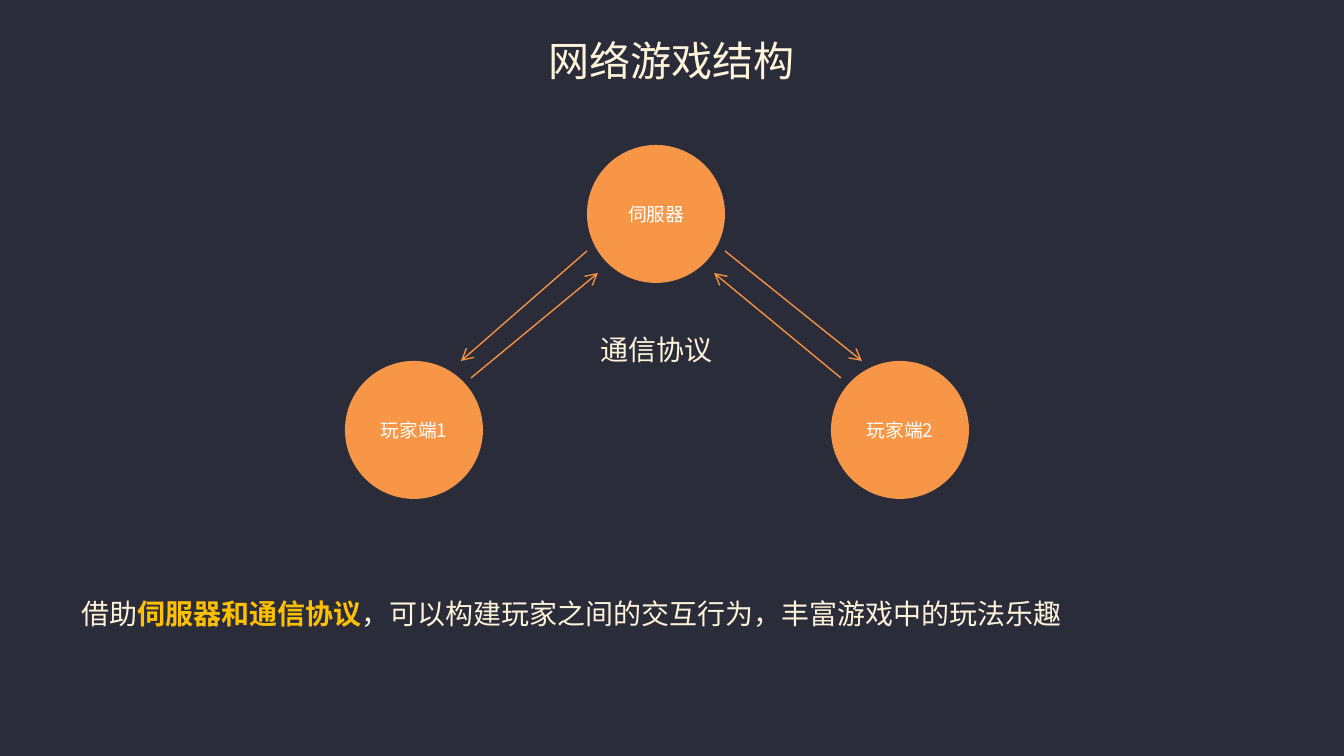
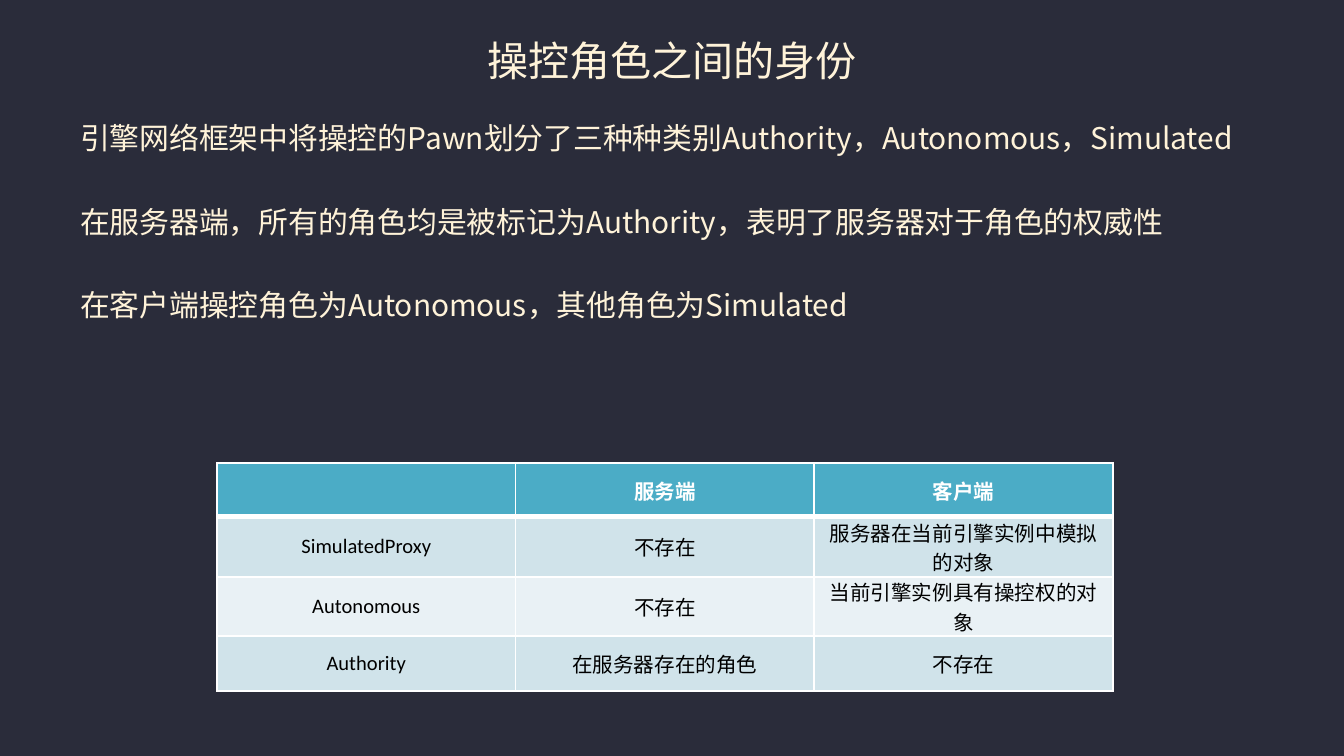
import pptx
import pptx.util
import pptx.dml.color
import pptx.enum.shapes
import pptx.enum.text
import pptx.oxml.ns
import lxml.etree

RGB = pptx.dml.color.RGBColor
ALIGN = pptx.enum.text.PP_ALIGN
ANCHOR = pptx.enum.text.MSO_ANCHOR
qn = pptx.oxml.ns.qn

# Shared look
WIDE, HIGH = 1344, 756
SCALE = 914400 / 134.4
FONT, LATIN = "Noto Sans CJK SC", "Calibri"
NIGHT = RGB(0x2A, 0x2C, 0x3A)
CREAM = RGB(0xFF, 0xF3, 0xD9)
WHITE = RGB(0xFF, 0xFF, 0xFF)
BLACK = RGB(0x00, 0x00, 0x00)
GOLD = RGB(0xFF, 0xC0, 0x00)
ORANGE = RGB(0xF7, 0x96, 0x46)
ARROW = RGB(0xF6, 0x92, 0x40)
TEAL = RGB(0x4B, 0xAC, 0xC6)
BANDS = [RGB(0xD0, 0xE3, 0xEA), RGB(0xE9, 0xF1, 0xF5)]


def px(*sizes):
    return [pptx.util.Emu(round(size * SCALE)) for size in sizes]


def add_run(para, text, size, color=CREAM, bold=False, face=FONT):
    run = para.add_run()
    run.text = text
    font = run.font
    font.size, font.bold, font.name = pptx.util.Pt(size), bold, face
    font.color.rgb = color
    props = run._r.get_or_add_rPr()
    lxml.etree.SubElement(props, qn("a:ea"), typeface=FONT)


def add_box(slide, *area):
    frame = slide.shapes.add_textbox(*px(*area)).text_frame
    frame.word_wrap = True
    return frame


def add_page(deck, title):
    slide = deck.slides.add_slide(deck.slide_layouts[6])
    slide.background.fill.solid()
    slide.background.fill.fore_color.rgb = NIGHT
    frame = add_box(slide, 67, 29, 1210, 63)
    frame.vertical_anchor = ANCHOR.MIDDLE
    para = frame.paragraphs[0]
    para.alignment = ALIGN.CENTER
    add_run(para, title, 22)
    return slide


def add_label(slide, area, *runs):
    frame = add_box(slide, *area)
    frame.word_wrap = False
    frame.auto_size = pptx.enum.text.MSO_AUTO_SIZE.SHAPE_TO_FIT_TEXT
    for text, color, bold in runs:
        add_run(frame.paragraphs[0], text, 15, color, bold)


def add_node(slide, left, top, text):
    node = slide.shapes.add_shape(
        pptx.enum.shapes.MSO_SHAPE.OVAL, *px(left, top, 138, 138))
    node.shadow.inherit = False
    node.fill.solid()
    node.fill.fore_color.rgb = ORANGE
    node.line.fill.background()
    frame = node.text_frame
    frame.margin_left, frame.margin_right = px(4, 4)
    frame.vertical_anchor = ANCHOR.MIDDLE
    para = frame.paragraphs[0]
    para.alignment = ALIGN.CENTER
    add_run(para, text, 10, WHITE)


def add_arrow(slide, *ends):
    link = slide.shapes.add_connector(
        pptx.enum.shapes.MSO_CONNECTOR.STRAIGHT, *px(*ends))
    link.line.color.rgb = ARROW
    link.line.width = pptx.util.Pt(0.75)
    props = link._element.spPr
    lxml.etree.SubElement(props.find(qn("a:ln")), qn("a:tailEnd"), type="arrow")
    lxml.etree.SubElement(props, qn("a:effectLst"))


def add_body(slide, lines):
    frame = add_box(slide, 67, 113, 1210, 562)
    for row, text in enumerate(lines):
        para = frame.add_paragraph() if row else frame.paragraphs[0]
        para.space_before = pptx.util.Pt(25.6 if row else 3.2)
        add_run(para, text, 16)


def set_edges(cell, top, bottom):
    props = cell._tc.get_or_add_tcPr()
    edges = {"a:lnL": 1, "a:lnR": 1, "a:lnT": top, "a:lnB": bottom}
    for spot, (tag, width) in enumerate(edges.items()):
        edge = lxml.etree.Element(qn(tag), w=str(pptx.util.Pt(width)))
        fill = lxml.etree.SubElement(edge, qn("a:solidFill"))
        lxml.etree.SubElement(fill, qn("a:srgbClr"), val=str(WHITE))
        props.insert(spot, edge)


def add_grid(slide, rows, highs):
    grid = slide.shapes.add_table(
        len(rows), len(rows[0]), *px(217, 463, 896, sum(highs))).table
    for row, (texts, high) in enumerate(zip(rows, highs)):
        head = row == 0
        grid.rows[row].height = px(high)[0]
        for col, text in enumerate(texts):
            cell = grid.cell(row, col)
            cell.margin_left, cell.margin_right = px(10, 10)
            cell.margin_top = cell.margin_bottom = 0
            cell.vertical_anchor = ANCHOR.MIDDLE
            cell.fill.solid()
            cell.fill.fore_color.rgb = TEAL if head else BANDS[(row - 1) % 2]
            set_edges(cell, 3 if row == 1 else 1, 3 if head else 1)
            if text:
                para = cell.text_frame.paragraphs[0]
                para.alignment = ALIGN.CENTER
                add_run(para, text, 11, WHITE if head else BLACK, head, LATIN)


def main():
    deck = pptx.Presentation()
    deck.slide_width, deck.slide_height = px(WIDE, HIGH)

    # Server, players and the links between them
    slide = add_page(deck, "网络游戏结构")
    for node in [(587, 145, "伺服器"), (345, 361, "玩家端1"), (831, 361, "玩家端2")]:
        add_node(slide, *node)
    for ends in [(471, 378, 598, 273), (587, 251, 461, 361),
                 (841, 378, 714, 273), (725, 251, 862, 361)]:
        add_arrow(slide, *ends)
    add_label(slide, (587, 326, 140, 47), ("通信协议", CREAM, False))
    add_label(slide, (68, 590, 1016, 47),
              ("借助", CREAM, False),
              ("伺服器和通信协议", GOLD, True),
              ("，可以构建玩家之间的交互行为，丰富游戏中的玩法乐趣", CREAM, False))

    # Roles of a controlled character
    slide = add_page(deck, "操控角色之间的身份")
    add_body(slide, [
        "引擎网络框架中将操控的Pawn划分了三种种类别Authority，Autonomous，Simulated",
        "在服务器端，所有的角色均是被标记为Authority，表明了服务器对于角色的权威性",
        "在客户端操控角色为Autonomous，其他角色为Simulated",
    ])
    add_grid(slide, [
        ("", "服务端", "客户端"),
        ("SimulatedProxy", "不存在", "服务器在当前引擎实例中模拟的对象"),
        ("Autonomous", "不存在", "当前引擎实例具有操控权的对象"),
        ("Authority", "在服务器存在的角色", "不存在"),
    ], [54, 60, 59, 55])
    deck.save("out.pptx")


if __name__ == "__main__":
    main()
